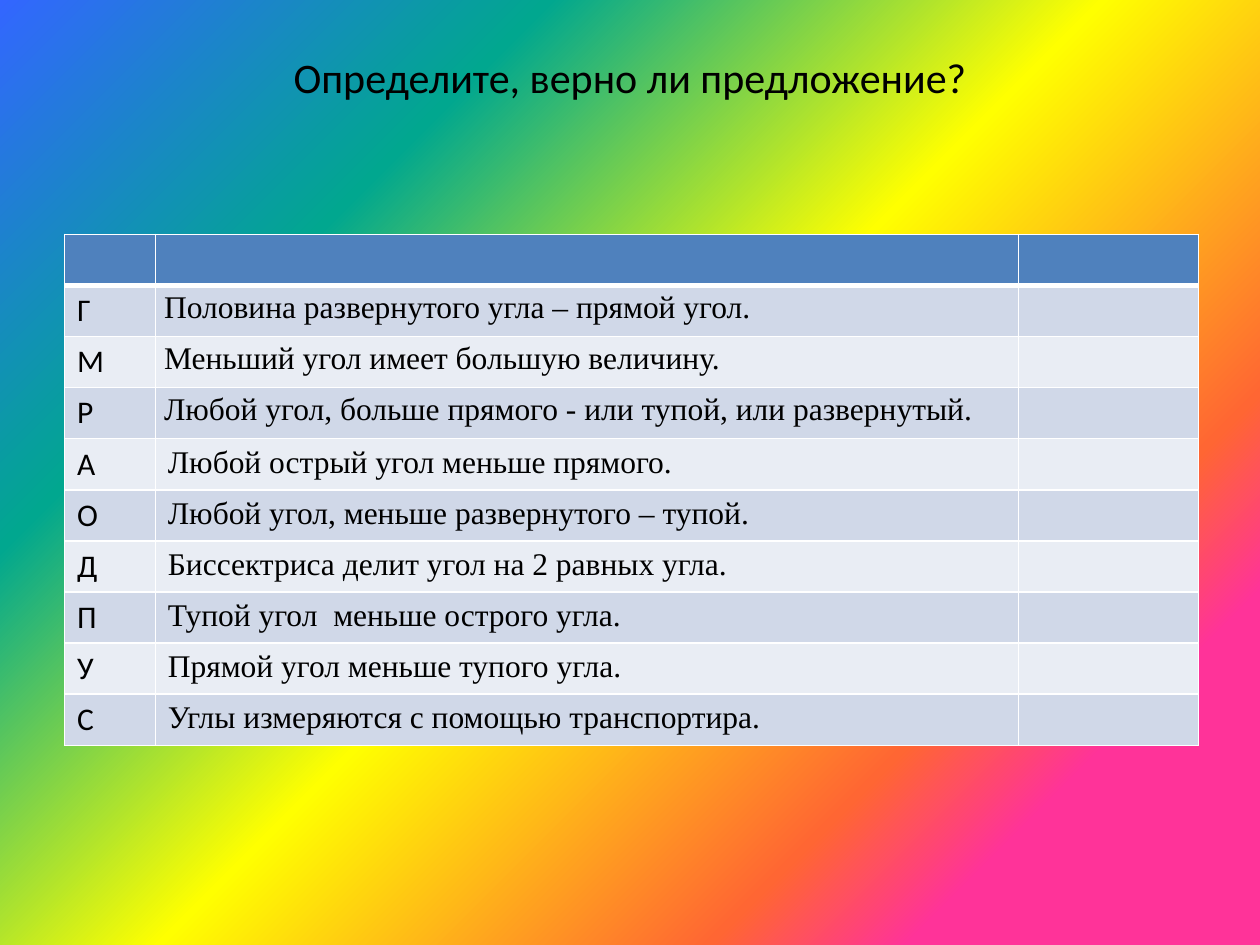
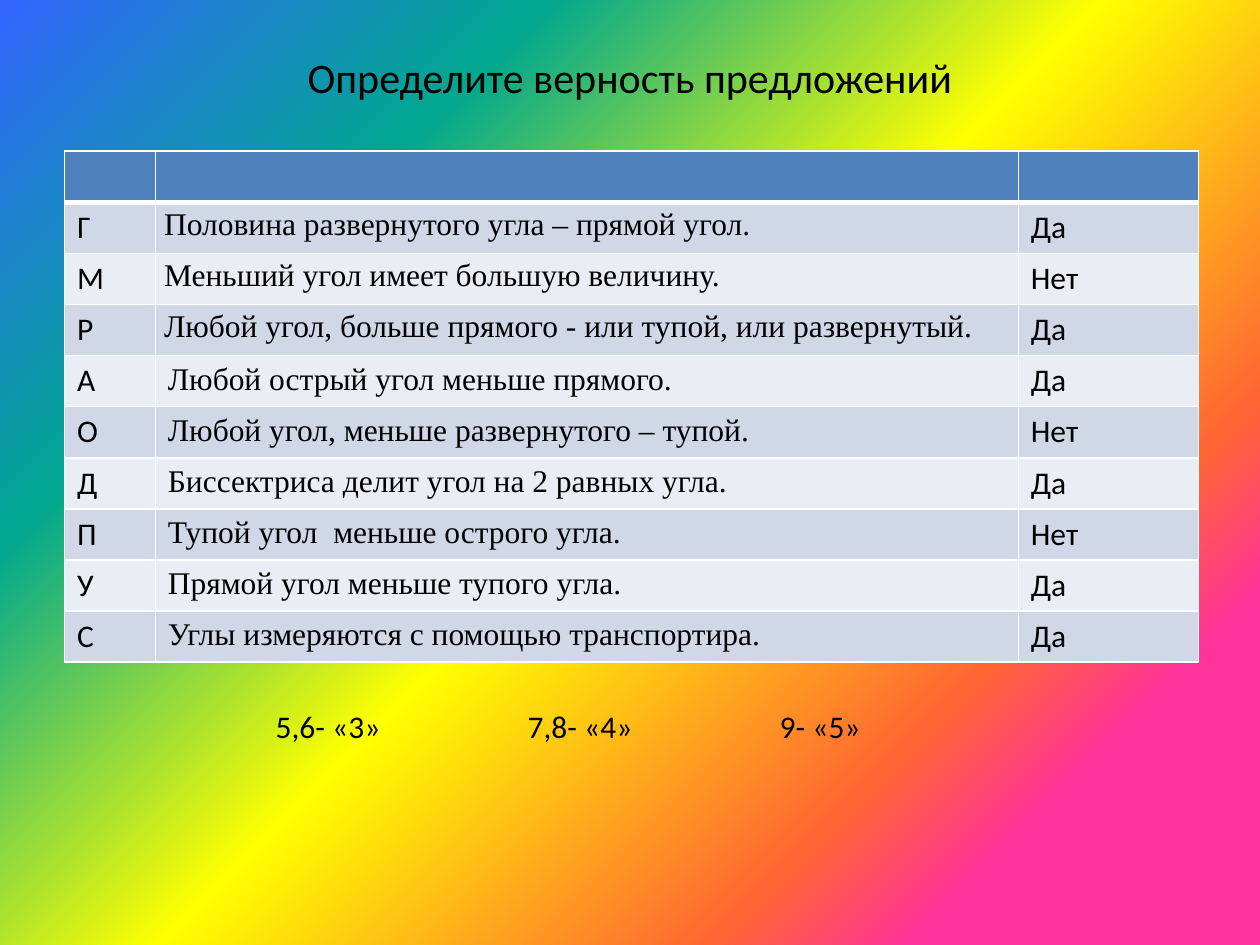
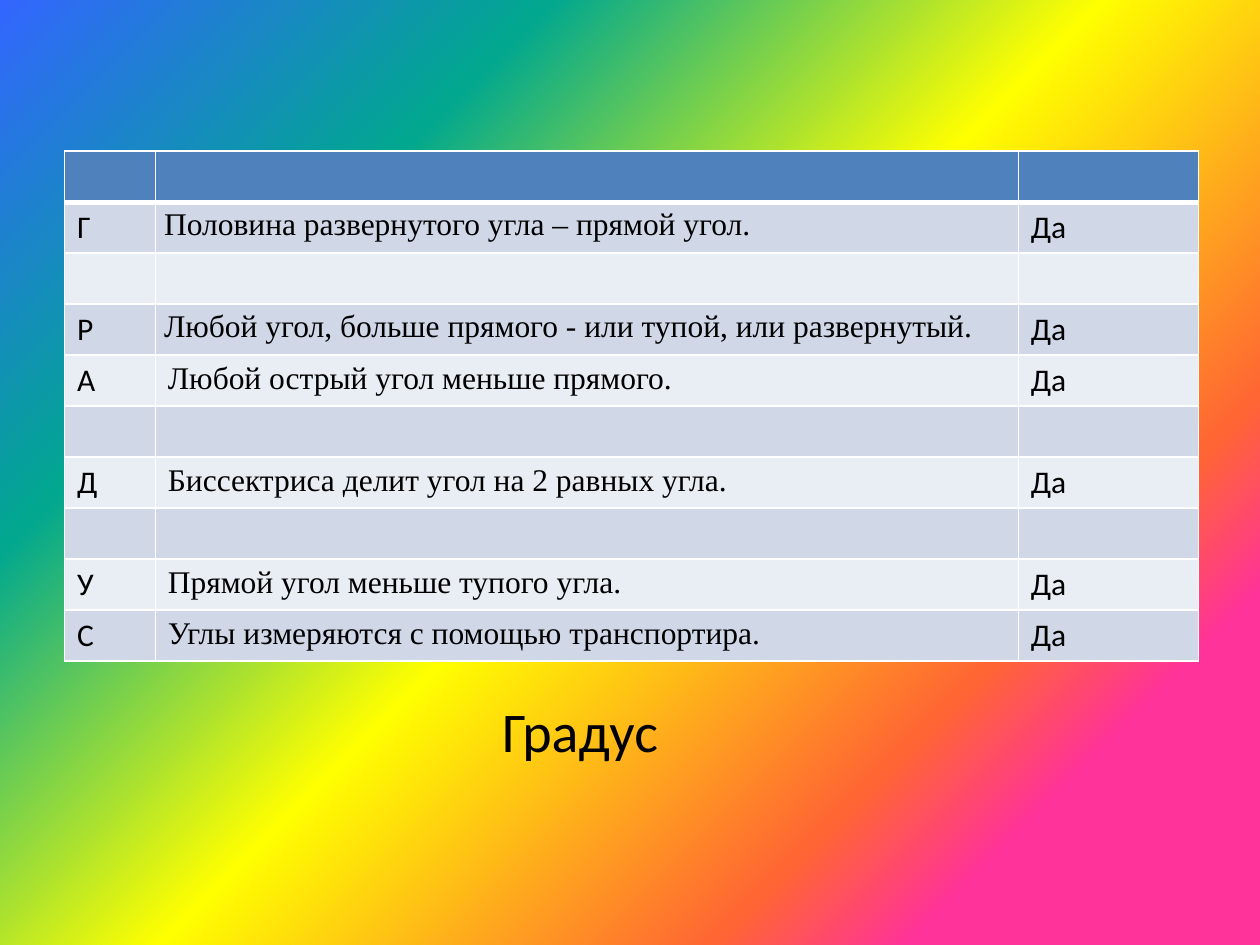
from pptx import Presentation
from pptx import util as u
from pptx.dml.color import RGBColor
from pptx.enum import text
from pptx.oxml import parse_xml

NS = 'xmlns:a="http://schemas.openxmlformats.org/drawingml/2006/main"'
SANS, SERIF = "Calibri", "Times New Roman"
INK, RULE, HEADER, BANDS = "000000", "FFFFFF", "4F81BD", ("E9EDF4", "D0D8E8")
RAINBOW = {16: "FF3399", 25: "FF6633", 50: "FFFF00", 75: "01A78F", 100: "3366FF"}
COLUMNS = (8, 76.1, 15.9)
TIGHT = {"margin_left": u.Inches(0.07), "margin_right": u.Inches(0.07),
         "margin_top": 0, "margin_bottom": 0}
STATEMENTS = [
    ("Г", "Половина развернутого угла – прямой угол.", "Да"),
    ("М", "Меньший угол имеет большую величину.", "Нет"),
    ("Р", "Любой угол, больше прямого - или тупой, или развернутый.", "Да"),
    ("А", "Любой острый угол меньше прямого.", "Да"),
    ("О", "Любой угол, меньше развернутого – тупой.", "Нет"),
    ("Д", "Биссектриса делит угол на 2 равных угла.", "Да"),
    ("П", "Тупой угол  меньше острого угла.", "Нет"),
    ("У", "Прямой угол меньше тупого угла.", "Да"),
    ("С", "Углы измеряются с помощью транспортира.", "Да"),
]
QUESTIONS = [(letter, claim, "") for letter, claim, _ in STATEMENTS]
TRUE_ONLY = [row if row[2] == "Да" else ("", "", "") for row in STATEMENTS]
SLIDES = [
    {"title": "Определите, верно ли предложение?", "top": 24.8, "rows": QUESTIONS},
    {"title": "Определите верность предложений", "top": 16, "rows": STATEMENTS,
     "note": "5,6- «3»\t\t7,8- «4»\t\t9- «5»", "box": (20.9, 74.13, 56.7, 5.33),
     "size": 18, "align": text.PP_ALIGN.LEFT},
    {"title": None, "top": 16, "rows": TRUE_ONLY,
     "note": "Градус", "box": (36.6, 73.07, 18.9, 8.53),
     "size": 32, "align": text.PP_ALIGN.CENTER},
]

prs = Presentation()
prs.slide_width, prs.slide_height = u.Inches(10), u.Inches(7.5)


def place(left, top, width, height):
    w, h = prs.slide_width, prs.slide_height
    return [int(share * side / 100)
            for share, side in zip((left, top, width, height), (w, h, w, h))]


def write(tf, words, size, font=SANS, align=None, spacing=None):
    p = tf.paragraphs[0]
    p.alignment, p.line_spacing = align, spacing
    if "\t" in words:
        tabs = "".join(f'<a:tab pos="{u.Inches(n)}" algn="l"/>' for n in range(1, 5))
        p._p.get_or_add_pPr().append(parse_xml(f"<a:tabLst {NS}>{tabs}</a:tabLst>"))
    r = p.add_run()
    r.text = words
    for name, value in {"size": u.Pt(size), "name": font}.items():
        setattr(r.font, name, value)
    r.font.color.rgb = RGBColor.from_string(INK)


stops = "".join(f'<a:gs pos="{pos * 1000}"><a:srgbClr val="{color}"/></a:gs>'
                for pos, color in RAINBOW.items())
gradient = parse_xml(
    f'<a:gradFill {NS} rotWithShape="1"><a:gsLst>{stops}</a:gsLst>'
    '<a:path path="circle"><a:fillToRect l="100000" t="100000"/></a:path>'
    '<a:tileRect r="-100000" b="-100000"/></a:gradFill>')
master = prs.slide_master
master.background.fill.solid()
solid = master.element.find(".//{*}bgPr/{*}solidFill")
solid.getparent().replace(solid, gradient)

for page in SLIDES:
    s = prs.slides.add_slide(prs.slide_layouts[5 if page["title"] else 6])
    if page["title"]:
        title = s.shapes.title
        title.left, title.top, title.width, title.height = place(5, 4, 90, 8.13)
        title.text_frame.vertical_anchor = text.MSO_ANCHOR.MIDDLE
        write(title.text_frame, page["title"], 24, align=text.PP_ALIGN.CENTER)

    box = place(5.13, page["top"], 90, 54)
    table = s.shapes.add_table(len(page["rows"]) + 1, len(COLUMNS), *box).table
    for column, share in zip(table.columns, COLUMNS):
        column.width = int(box[2] * share / 100)
    for i, row in enumerate([("", "", "")] + page["rows"]):
        widths = {"L": 1, "R": 1, "T": 3 if i == 1 else 1, "B": 1 if i else 3}
        for j, words in enumerate(row):
            cell = table.cell(i, j)
            cell.fill.solid()
            cell.fill.fore_color.rgb = RGBColor.from_string(BANDS[i % 2] if i else HEADER)
            for n, (side, width) in enumerate(widths.items()):
                cell._tc.get_or_add_tcPr().insert(n, parse_xml(
                    f'<a:ln{side} {NS} w="{u.Pt(width)}"><a:solidFill>'
                    f'<a:srgbClr val="{RULE}"/></a:solidFill></a:ln{side}>'))
            if not words:
                continue
            tight = j == 1 and i <= 3
            for name, value in (TIGHT if tight else {}).items():
                setattr(cell, name, value)
            write(cell.text_frame, words, 18, SERIF if j == 1 else SANS,
                  spacing=1.15 if tight else None)

    if "note" in page:
        tf = s.shapes.add_textbox(*place(*page["box"])).text_frame
        tf.word_wrap = True
        tf.auto_size = text.MSO_AUTO_SIZE.SHAPE_TO_FIT_TEXT
        write(tf, page["note"], page["size"], align=page["align"])

prs.save("out.pptx")
